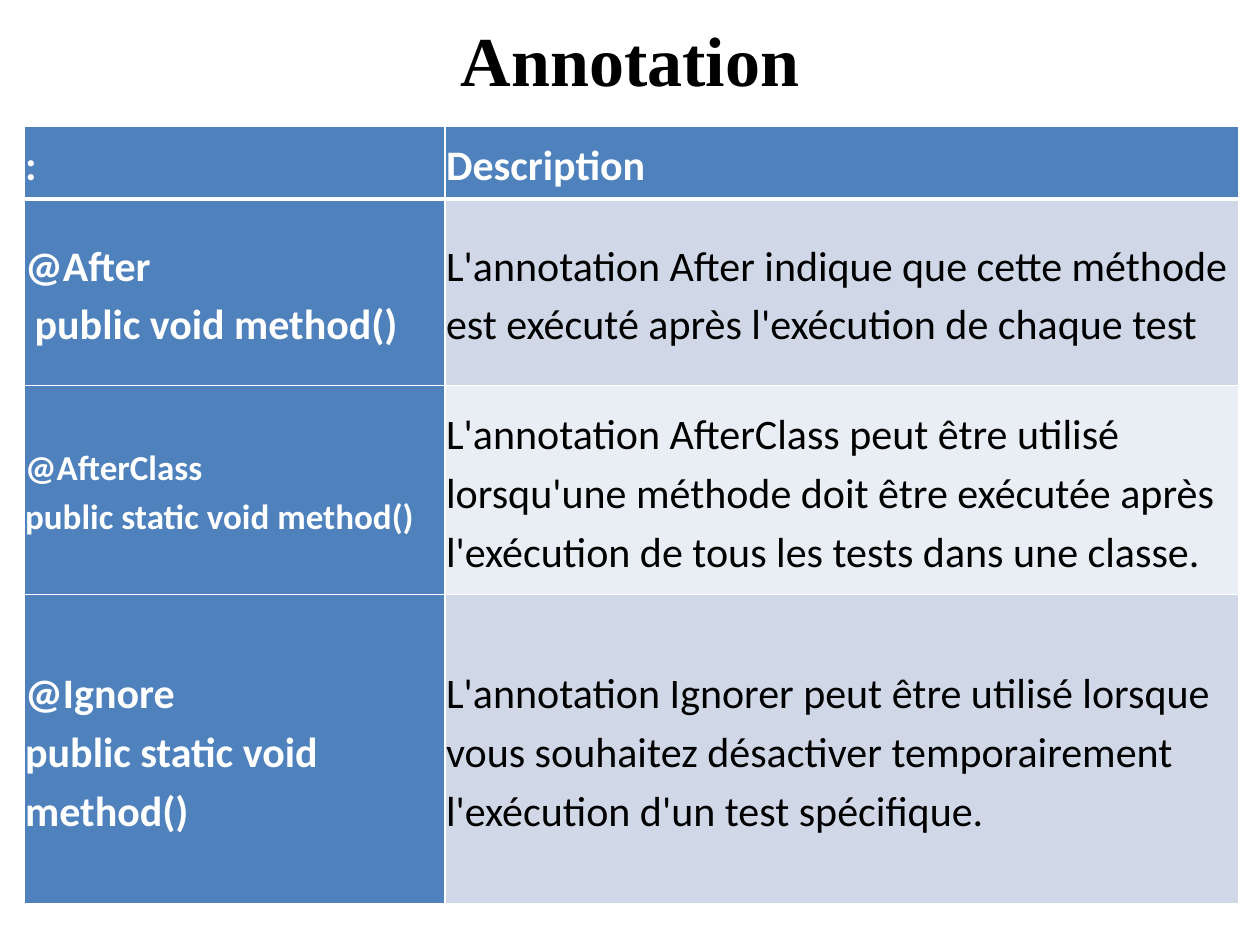
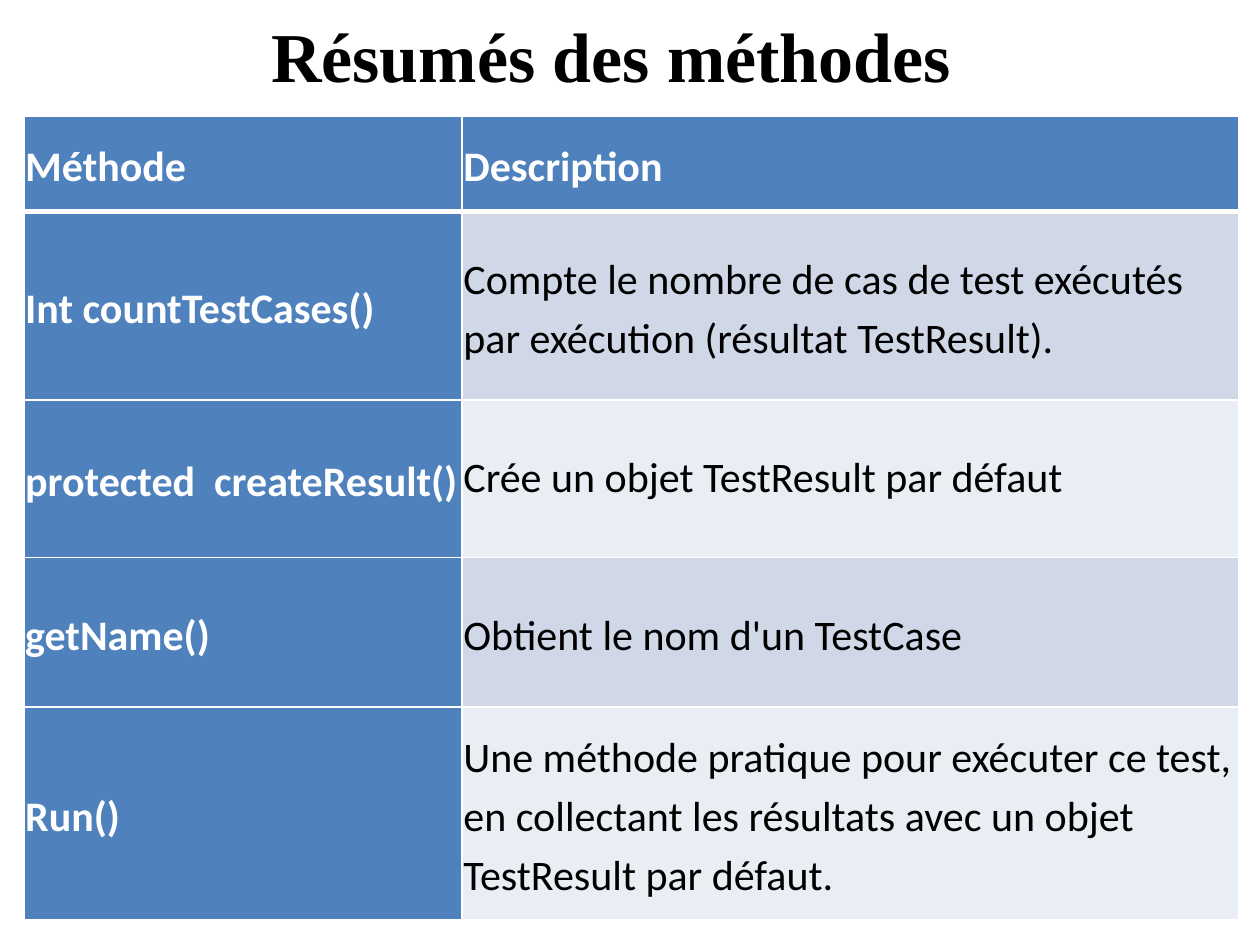
from dataclasses import dataclass

from lxml.etree import SubElement as Sub
from pptx import Presentation
from pptx.dml.color import RGBColor
from pptx.enum.text import MSO_ANCHOR as Anchor, PP_ALIGN as Align
from pptx.oxml.ns import qn
from pptx.slide import Slide
from pptx.table import _Cell as Cell
from pptx.text.text import TextFrame as Frame
from pptx.util import Pt

WHITE = RGBColor(0xFF, 0xFF, 0xFF)
BLACK = RGBColor(0x00, 0x00, 0x00)
BLUE = RGBColor(0x4F, 0x81, 0xBD)
BANDS = (RGBColor(0xD0, 0xD8, 0xE8), RGBColor(0xE9, 0xED, 0xF4))
LEFT, WIDTH, INSET = 13.7, 694.1, 0.72
TITLE_W, TITLE_H = 648, 55.4


@dataclass(frozen=True)
class Row:
    """One table row: its height, its two texts and their format."""
    height: float
    label: str
    text: str
    size: int = 24
    space: float = 1.15


@dataclass(frozen=True)
class Page:
    """One slide: a title above a table of two columns."""
    title: str
    left: float
    top: float
    start: float
    split: float
    rows: tuple[Row, ...]


PAGES = (
    Page("Annotation", 36, 5.8, 72, 240.5, (
        Row(41.8, ":", "Description"),
        Row(106.6, "@After\n public void method()",
            "L'annotation After indique que cette méthode est exécuté "
            "après l'exécution de chaque test"),
        Row(119.5, "@AfterClass \npublic static void method()",
            "L'annotation AfterClass peut être utilisé lorsqu'une méthode "
            "doit être exécutée après l'exécution de tous les tests dans "
            "une classe.", size=20),
        Row(176.4, "@Ignore \npublic static void method()",
            "L'annotation Ignorer peut être utilisé lorsque vous souhaitez "
            "désactiver temporairement l'exécution d'un test spécifique."),
    )),
    Page("Résumés des méthodes ", 30.2, 3.6, 66.2, 250.4, (
        Row(54.7, "Méthode", "Description"),
        Row(107.6, "Int countTestCases()",
            "Compte le nombre de cas de test exécutés par exécution "
            "(résultat TestResult)."),
        Row(90, "protected  createResult()",
            "Crée un objet TestResult par défaut", space=1),
        Row(85.7, "getName()", "Obtient le nom d'un TestCase"),
        Row(121.7, "Run()",
            "Une méthode pratique pour exécuter ce test, en collectant les "
            "résultats avec un objet TestResult par défaut."),
    )),
)


def write(frame: Frame, text: str, *, font: str = "Calibri", size: float = 24,
          color: RGBColor = BLACK, bold: bool = False,
          align: Align = Align.LEFT, space: float = 1.15) -> None:
    """Fill a text frame, one paragraph for each line."""
    for num, line in enumerate(text.split("\n")):
        para = frame.add_paragraph() if num else frame.paragraphs[0]
        para.alignment, para.line_spacing = align, space
        run = para.add_run()
        run.text = line
        run.font.name, run.font.size, run.font.bold = font, Pt(size), bold
        run.font.color.rgb = color


def edge(cell: Cell, top: float, base: float) -> None:
    """Give a cell white borders."""
    props = cell._tc.get_or_add_tcPr()
    for side, width in (("L", 1), ("R", 1), ("T", top), ("B", base)):
        line = Sub(props, qn(f"a:ln{side}"), w=str(Pt(width)))
        Sub(Sub(line, qn("a:solidFill")), qn("a:srgbClr"), val=str(WHITE))


def paint(cell: Cell, fill: RGBColor, top: float, base: float) -> None:
    """Set the borders, fill, margins and anchor of a cell."""
    edge(cell, top, base)
    cell.fill.solid()
    cell.fill.fore_color.rgb = fill
    cell.margin_left = cell.margin_right = Pt(INSET)
    cell.margin_top = cell.margin_bottom = Pt(INSET)
    cell.vertical_anchor = Anchor.MIDDLE


def draw_table(slide: Slide, page: Page) -> None:
    """Draw the table with a blue head row and a blue first column."""
    high = sum(row.height for row in page.rows)
    table = slide.shapes.add_table(len(page.rows), 2, Pt(LEFT), Pt(page.start),
                                   Pt(WIDTH), Pt(high)).table
    table.columns[0].width = Pt(page.split)
    table.columns[1].width = Pt(WIDTH - page.split)
    for num, row in enumerate(page.rows):
        table.rows[num].height = Pt(row.height)
        for col, text in enumerate((row.label, row.text)):
            head = num == 0 or col == 0
            cell = table.cell(num, col)
            paint(cell, BLUE if head else BANDS[(num - 1) % 2],
                  3 if num == 1 else 1, 3 if num == 0 else 1)
            write(cell.text_frame, text, size=24 if col else row.size,
                  color=WHITE if head else BLACK, bold=head,
                  space=row.space if col else 1.15)


def draw_title(slide: Slide, page: Page) -> None:
    """Draw the centred title."""
    frame = slide.shapes.add_textbox(Pt(page.left), Pt(page.top),
                                     Pt(TITLE_W), Pt(TITLE_H)).text_frame
    frame.word_wrap = True
    frame.vertical_anchor = Anchor.MIDDLE
    write(frame, page.title, font="Times New Roman", size=40, bold=True,
          align=Align.CENTER, space=1)


def main() -> None:
    """Build and save the slides."""
    deck = Presentation()
    deck.slide_width, deck.slide_height = Pt(720), Pt(540)
    for page in PAGES:
        slide = deck.slides.add_slide(deck.slide_layouts[6])
        draw_table(slide, page)
        draw_title(slide, page)
    deck.save("out.pptx")


if __name__ == "__main__":
    main()
